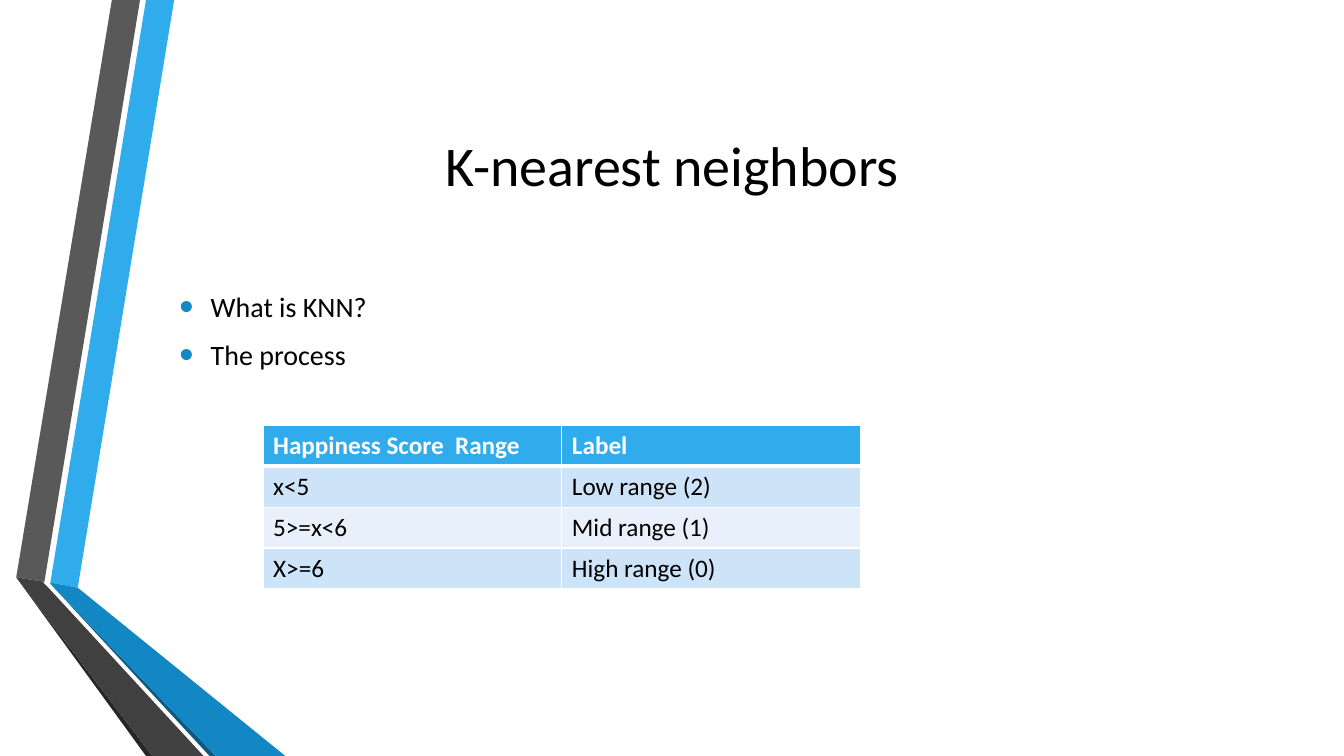
"""Build the K-nearest neighbors slide with its ribbon, bullets and label table."""
import pptx
import pptx.dml.color
import pptx.enum.text
import pptx.oxml
import pptx.oxml.ns
import pptx.util
from pptx.util import Cm

NAMESPACE = pptx.oxml.ns.nsdecls("a")


def color(hex_code):
    return pptx.dml.color.RGBColor.from_string(hex_code)


def style(para, size, hex_code, bold=False):
    para.font.name = "Calibri"
    para.font.size = pptx.util.Pt(size)
    para.font.bold = bold
    para.font.color.rgb = color(hex_code)


deck = pptx.Presentation()
deck.slide_width = Cm(33.87)
deck.slide_height = Cm(19.05)
page = deck.slides.add_slide(deck.slide_layouts[6])

ribbons = [
    ("30ACEC", [(1.27, 14.68), (1.96, 14.81), (4.39, 0), (3.68, 0)]),
    ("595959", [(3.53, 0), (2.82, 0), (0.41, 14.55), (1.12, 14.66)]),
    ("262626", [(0.41, 14.55), (3.68, 19.05), (3.84, 19.05)]),
    ("0C5A82", [(1.27, 14.71), (5.28, 19.05), (5.44, 19.05)]),
    ("1287C3", [(1.27, 14.68), (1.27, 14.71), (5.44, 19.05), (7.19, 19.05), (1.96, 14.81)]),
    ("404040", [(5.13, 19.05), (1.22, 14.81), (1.09, 14.68), (1.12, 14.66),
                (0.41, 14.55), (3.84, 19.05)]),
]
for fill, corners in ribbons:
    points = [(Cm(x), Cm(y)) for x, y in corners]
    outline = page.shapes.build_freeform(*points[0])
    outline.add_line_segments(points[1:], close=True)
    ribbon = outline.convert_to_shape()
    ribbon.shadow.inherit = False
    ribbon.fill.solid()
    ribbon.fill.fore_color.rgb = color(fill)
    ribbon.line.fill.background()

title = page.shapes.add_textbox(Cm(3.28), Cm(2.29), Cm(27.31), Cm(3.68)).text_frame
title.word_wrap = True
title.vertical_anchor = pptx.enum.text.MSO_ANCHOR.MIDDLE
title.text = "K-nearest neighbors"
title.paragraphs[0].alignment = pptx.enum.text.PP_ALIGN.CENTER
style(title.paragraphs[0], 40, "000000")

body = page.shapes.add_textbox(Cm(4.27), Cm(5.79), Cm(27.31), Cm(5.07)).text_frame
body.word_wrap = True
body.vertical_anchor = pptx.enum.text.MSO_ANCHOR.MIDDLE
body.text = "What is KNN?\nThe process"
for para in body.paragraphs:
    style(para, 20, "000000")
    para.space_before = pptx.util.Pt(4)
    para.space_after = pptx.util.Pt(6)
    properties = para._p.get_or_add_pPr()
    properties.set("marL", str(Cm(0.79)))
    properties.set("indent", str(Cm(-0.79)))
    for bullet in ('<a:buClr {}><a:srgbClr val="1287C3"/></a:buClr>',
                   '<a:buSzPct {} val="145000"/>',
                   '<a:buFont {} typeface="Arial"/>',
                   '<a:buChar {} char="•"/>'):
        properties.insert_element_before(
            pptx.oxml.parse_xml(bullet.format(NAMESPACE)), "a:tabLst", "a:defRPr", "a:extLst")

rows = [
    ("Happiness Score  Range", "Label"),
    ("x<5", "Low range (2)"),
    ("5>=x<6", "Mid range (1)"),
    ("X>=6", "High range (0)"),
]
row_fills = ["30ACEC", "CDE3F8", "E8F1FB", "CDE3F8"]
table = page.shapes.add_table(4, 2, Cm(6.63), Cm(10.72), Cm(15.06), Cm(4.12)).table
for row_index, labels in enumerate(rows):
    header = row_index == 0
    for column_index, label in enumerate(labels):
        cell = table.cell(row_index, column_index)
        cell.text = label
        style(cell.text_frame.paragraphs[0], 18, "FFFFFF" if header else "000000", header)
        widths = {"L": 1, "R": 1, "T": 3 if row_index == 1 else 1, "B": 3 if header else 1}
        for side, width in widths.items():
            cell._tc.get_or_add_tcPr().append(pptx.oxml.parse_xml(
                f'<a:ln{side} {NAMESPACE} w="{pptx.util.Pt(width)}"><a:solidFill>'
                f'<a:srgbClr val="FFFFFF"/></a:solidFill></a:ln{side}>'))
        cell.fill.solid()
        cell.fill.fore_color.rgb = color(row_fills[row_index])

deck.save("out.pptx")
